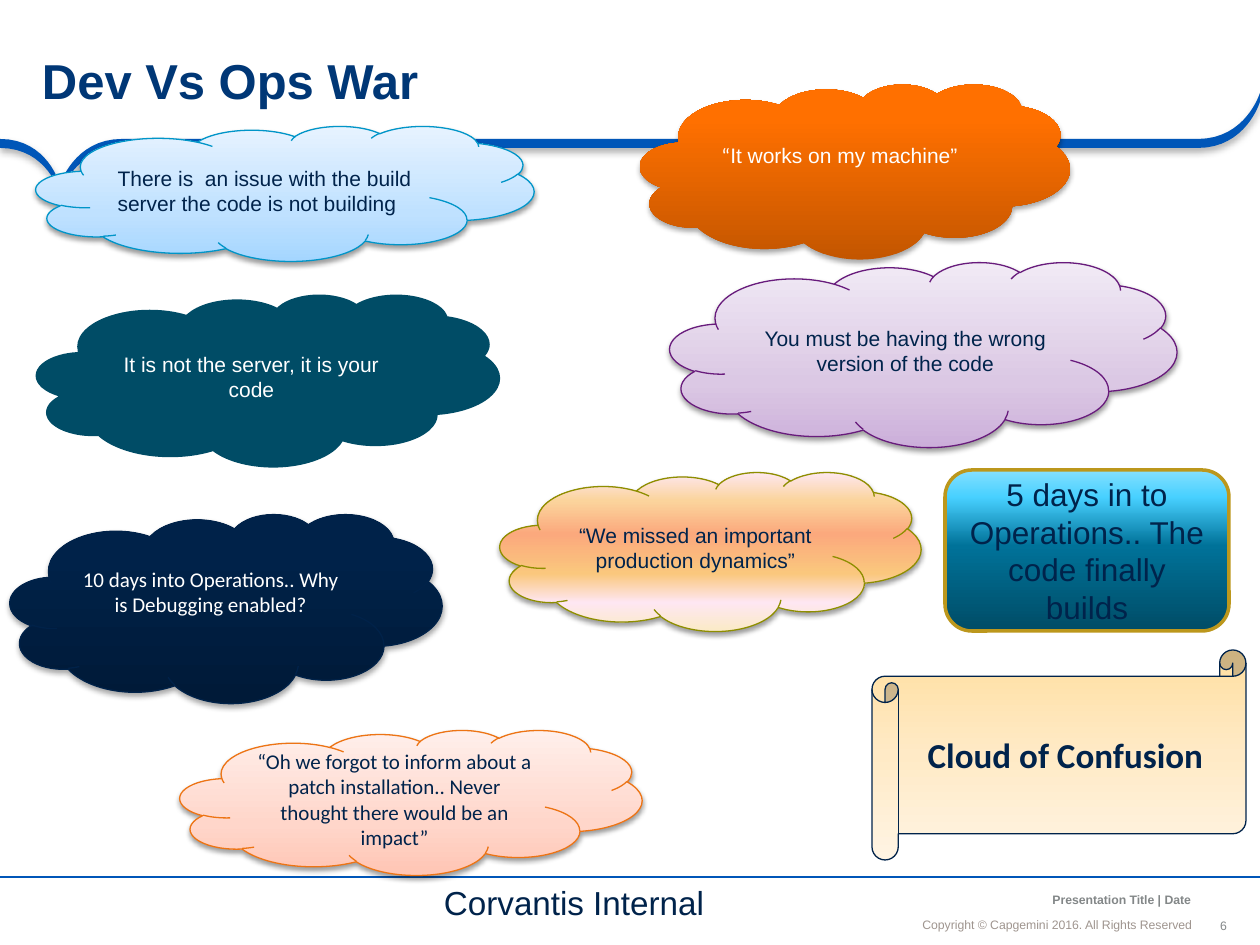
from dataclasses import dataclass
from typing import Optional

from lxml.etree import SubElement
from pptx import Presentation
from pptx.dml.color import RGBColor
from pptx.enum.shapes import MSO_CONNECTOR, MSO_SHAPE
from pptx.enum.text import MSO_ANCHOR, PP_ALIGN
from pptx.oxml.ns import qn
from pptx.util import Emu, Pt

EMU_PER_PX = 914400 / 126
COLORS = {
    "navy": "00234B", "title": "003776", "blue": "0056B8", "white": "FFFFFF",
    "gray": "838788", "warm_gray": "9F958F", "teal": "004C66", "cyan": "0095C8",
    "purple": "681B7C", "orange": "ED7414", "midnight": "002249",
    "olive": "8E8E00", "gold": "BC971C", "black": "000000",
}
GRADIENTS = {
    "sky": {0: "A5D6FF", 35: "BFE1FF", 100: "E7F3FF"},
    "flame": {0: "C45600", 80: "FF7000", 100: "FF7101"},
    "lilac": {0: "CCAFDA", 35: "DBC8E4", 100: "F1EAF5"},
    "peach": {0: "FFC5B4", 35: "FFD6CA", 100: "FFEFEB"},
    "night": {0: "001A38", 80: "002249", 100: "002249"},
    "parchment": {0: "FFDFA1", 50: "FFEAC6", 100: "FFF4E3"},
    "sunset": {0: "FBEAC7", 18: "FEE7F2", 36: "FAC77D",
               61: "FBA97D", 82: "FBD49C", 100: "FEE7F2"},
    "lagoon": {0: "004C66", 53: "007299", 83: "47D0FF", 100: "85E0FF"},
}


@dataclass(frozen=True)
class Run:
    text: str
    font: str = "Arial"
    size: int = 12
    color: str = "navy"
    bold: bool = False


@dataclass(frozen=True)
class Shadow:
    opacity: int
    blur: float
    distance: float


SOFT = Shadow(38, 3.1, 1.6)
DEEP = Shadow(35, 3.1, 1.8)


@dataclass(frozen=True)
class Callout:
    box: tuple[int, int, int, int]
    fill: str
    runs: tuple[Run, ...]
    line: Optional[str] = None
    shadow: Optional[Shadow] = None
    kind: MSO_SHAPE = MSO_SHAPE.CLOUD
    line_width: float = 0.75
    gradient_angle: int = 90
    align: PP_ALIGN = PP_ALIGN.CENTER
    bottom_inset: int = 6


@dataclass(frozen=True)
class Label:
    box: tuple[int, int, int, int]
    run: Run
    align: PP_ALIGN = PP_ALIGN.LEFT
    anchor: MSO_ANCHOR = MSO_ANCHOR.TOP
    insets: tuple[int, int, int, int] = (13, 6, 13, 6)
    wrap: bool = True
    spacing: float = 1.0


CALLOUTS = [
    Callout((36, 126, 498, 135), "sky",
            (Run("There is  an issue with the build server the code is not building"),),
            "cyan", SOFT, align=PP_ALIGN.LEFT),
    Callout((640, 84, 430, 175), "flame",
            (Run("“", "Calibri", color="white"),
             Run("It works on my machine”", color="white")),
            shadow=DEEP, bottom_inset=31),
    Callout((36, 294, 464, 173), "teal",
            (Run("It is not the server, it is your code", color="white"),)),
    Callout((670, 262, 507, 185), "lilac",
            (Run("You must be having the wrong version of the code"),), "purple", SOFT),
    Callout((180, 730, 462, 145), "peach",
            (Run("“Oh we forgot to inform about a patch installation.. "
                 "Never thought there would be an impact”", "Calibri"),), "orange", SOFT),
    Callout((10, 514, 432, 189), "night",
            (Run("10 days into Operations.. Why is Debugging enabled?",
                 "Calibri", color="white"),), "midnight", DEEP, bottom_inset=31),
    Callout((872, 650, 374, 210), "parchment",
            (Run("Cloud of Confusion", "Calibri", 20, bold=True),), "navy",
            kind=MSO_SHAPE.HORIZONTAL_SCROLL, gradient_angle=270),
    Callout((500, 472, 421, 159), "sunset",
            (Run("“We missed an important production dynamics”"),), "olive", SOFT),
    Callout((945, 470, 284, 161), "lagoon",
            (Run("5 days in to Operations.. The code finally builds", size=18),),
            "gold", kind=MSO_SHAPE.ROUNDED_RECTANGLE, line_width=2),
]
LABELS = [
    Label((1216, 918, 15, 15), Run("6", size=7, color="gray"), PP_ALIGN.CENTER,
          MSO_ANCHOR.MIDDLE, (0, 0, 0, 0), False),
    Label((858, 912, 339, 25),
          Run("Copyright © Capgemini 2016. All Rights Reserved", size=7, color="warm_gray"),
          PP_ALIGN.RIGHT, MSO_ANCHOR.BOTTOM, (5, 5, 5, 5), spacing=0.9),
    Label((953, 886, 243, 26),
          Run("Presentation Title | Date", size=7, color="gray", bold=True),
          PP_ALIGN.RIGHT, MSO_ANCHOR.BOTTOM, (5, 5, 5, 5), False),
    Label((0, 31, 1260, 107), Run("Dev Vs Ops War", size=28, color="title", bold=True),
          anchor=MSO_ANCHOR.MIDDLE, insets=(42, 5, 23, 5), spacing=0.85),
    Label((431, 876, 399, 50), Run("Corvantis Internal", size=19)),
]
# Cubic curves along the top edge of the banner.
BANNER_CURVES = [
    ((0, 139), (48, 139), (60, 185), (60, 185)),
    ((60, 185), (60, 185), (74, 139), (122, 139)),
    ((1198, 139), (1246, 139), (1260, 93), (1260, 93)),
]
BANNER_THICKNESS = 9
CURVE_STEPS = 16


def px(length: float) -> Emu:
    return Emu(round(length * EMU_PER_PX))


def rgb(name: str) -> RGBColor:
    return RGBColor.from_string(COLORS[name])


def add_shadow(shape, shadow: Shadow) -> None:
    effects = shape._element.spPr.find(qn("a:effectLst"))
    outer = SubElement(effects, qn("a:outerShdw"), blurRad=str(Pt(shadow.blur)),
                       dist=str(Pt(shadow.distance)), dir="5400000", rotWithShape="0")
    color = SubElement(outer, qn("a:srgbClr"), val=COLORS["black"])
    SubElement(color, qn("a:alpha"), val=str(shadow.opacity * 1000))


def fill_gradient(shape, stops: dict[int, str], angle: int) -> None:
    shape.fill.gradient()
    shape.fill.gradient_angle = angle
    stop_list = shape._element.spPr.find(qn("a:gradFill")).find(qn("a:gsLst"))
    for old_stop in list(stop_list):
        stop_list.remove(old_stop)
    for percent, color in stops.items():
        stop = SubElement(stop_list, qn("a:gs"), pos=str(percent * 1000))
        SubElement(stop, qn("a:srgbClr"), val=color)


def write(frame, runs: tuple[Run, ...], align: PP_ALIGN, anchor: MSO_ANCHOR,
          insets: tuple[int, int, int, int], wrap: bool = True, spacing: float = 1.0) -> None:
    frame.word_wrap = wrap
    frame.vertical_anchor = anchor
    (frame.margin_left, frame.margin_top,
     frame.margin_right, frame.margin_bottom) = map(px, insets)
    paragraph = frame.paragraphs[0]
    paragraph.alignment = align
    paragraph.line_spacing = spacing
    for item in runs:
        run = paragraph.add_run()
        run.text = item.text
        run.font.name = item.font
        run.font.size = Pt(item.size)
        run.font.bold = item.bold
        run.font.color.rgb = rgb(item.color)


def draw_callout(slide, callout: Callout) -> None:
    shape = slide.shapes.add_shape(callout.kind, *map(px, callout.box))
    shape.shadow.inherit = False
    if callout.fill in GRADIENTS:
        fill_gradient(shape, GRADIENTS[callout.fill], callout.gradient_angle)
    else:
        shape.fill.solid()
        shape.fill.fore_color.rgb = rgb(callout.fill)
    if callout.line:
        shape.line.color.rgb = rgb(callout.line)
        shape.line.width = Pt(callout.line_width)
    else:
        shape.line.fill.background()
    if callout.shadow:
        add_shadow(shape, callout.shadow)
    write(shape.text_frame, callout.runs, callout.align, MSO_ANCHOR.MIDDLE,
          (13, 6, 13, callout.bottom_inset))


def draw_label(slide, label: Label) -> None:
    frame = slide.shapes.add_textbox(*map(px, label.box)).text_frame
    write(frame, (label.run,), label.align, label.anchor, label.insets,
          label.wrap, label.spacing)


def curve_points(curve) -> list[tuple[float, float]]:
    """Sample a cubic Bezier curve at equal parameter steps."""
    points = []
    for step in range(CURVE_STEPS + 1):
        t = step / CURVE_STEPS
        weights = ((1 - t) ** 3, 3 * t * (1 - t) ** 2, 3 * t ** 2 * (1 - t), t ** 3)
        points.append(tuple(sum(w * p[axis] for w, p in zip(weights, curve))
                            for axis in (0, 1)))
    return points


def draw_banner(slide) -> None:
    top = [point for curve in BANNER_CURVES for point in curve_points(curve)]
    bottom = [(x, y + BANNER_THICKNESS) for x, y in reversed(top)]
    outline = [(px(x), px(y)) for x, y in top + bottom]
    builder = slide.shapes.build_freeform(*outline[0])
    builder.add_line_segments(outline[1:], close=True)
    banner = builder.convert_to_shape()
    banner.shadow.inherit = False
    banner.fill.solid()
    banner.fill.fore_color.rgb = rgb("blue")
    banner.line.fill.background()
    add_shadow(banner, Shadow(31, 4, 2))


def draw_footer_rule(slide) -> None:
    rule = slide.shapes.add_connector(MSO_CONNECTOR.STRAIGHT, px(1260), px(877), px(0), px(877))
    rule.line.color.rgb = rgb("blue")
    rule.line.width = Pt(0.75)
    SubElement(rule._element.spPr, qn("a:effectLst"))


def main() -> None:
    deck = Presentation()
    deck.slide_width, deck.slide_height = px(1260), px(945)
    slide = deck.slides.add_slide(deck.slide_layouts[6])
    draw_banner(slide)
    draw_footer_rule(slide)
    for callout in CALLOUTS:
        draw_callout(slide, callout)
    for label in LABELS:
        draw_label(slide, label)
    deck.save("out.pptx")


if __name__ == "__main__":
    main()
